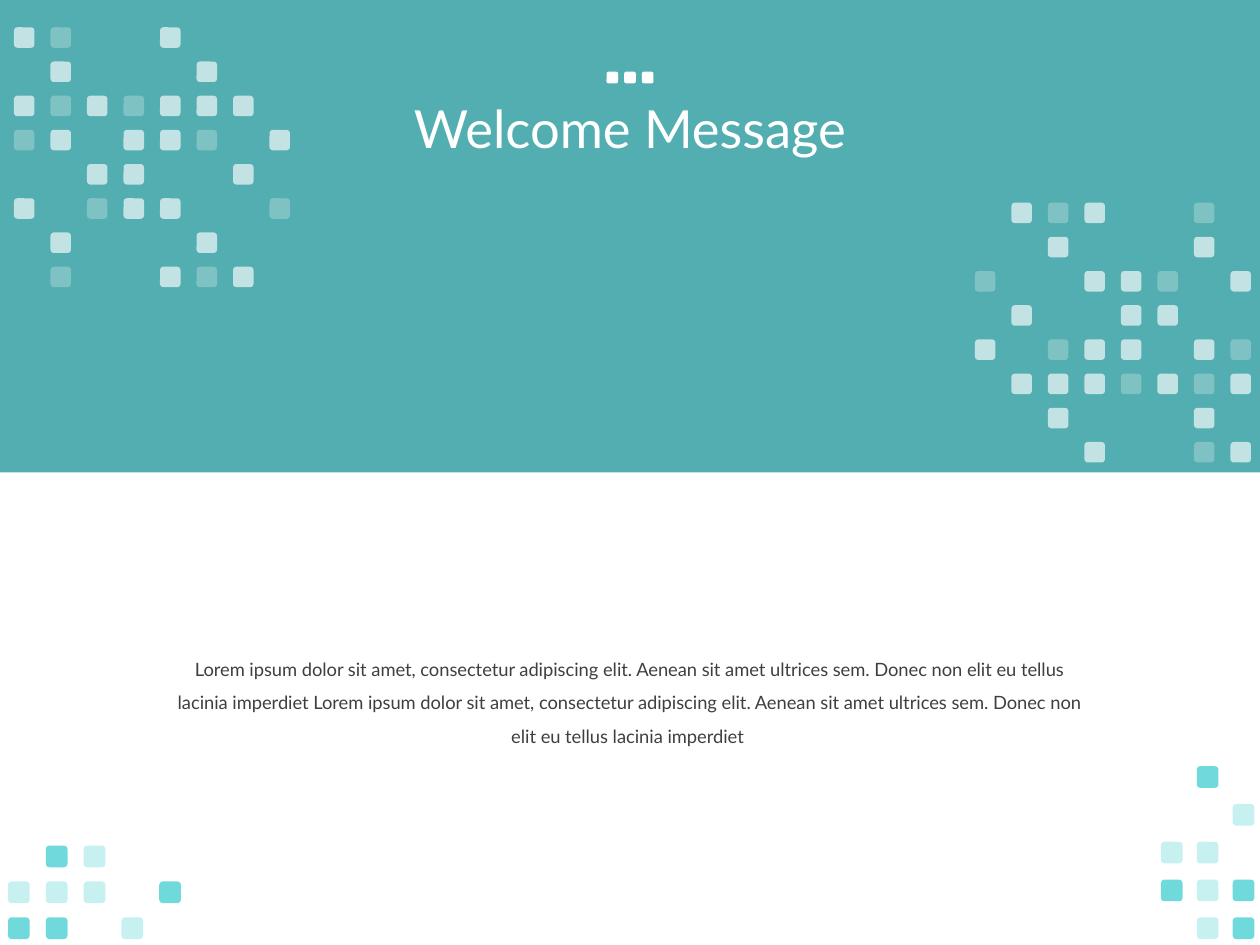
from lxml import etree
from pptx import Presentation
from pptx.dml.color import RGBColor
from pptx.enum.shapes import MSO_SHAPE
from pptx.enum.text import MSO_ANCHOR, MSO_AUTO_SIZE, PP_ALIGN
from pptx.oxml.ns import qn
from pptx.util import Pt

COLORS = {"band": "1A9497", "white": "FFFFFF", "aqua": "23C5CA", "text": "3F3F3F"}
OPACITY = {"#": 65, "o": 25, "@": 100}


def add_block(shapes, kind, left, top, width, height, color, opacity):
    block = shapes.add_shape(kind, Pt(left), Pt(top), Pt(width), Pt(height))
    block.shadow.inherit = False
    block.line.fill.background()
    block.fill.solid()
    block.fill.fore_color.rgb = RGBColor.from_string(COLORS[color])
    if opacity < 100:
        tint = block._element.spPr.find(f".//{qn('a:srgbClr')}")
        etree.SubElement(tint, qn("a:alpha"), val=str(opacity * 1000))
    return block


def add_text(frame, text, size, color, spacing):
    frame.word_wrap = True
    paragraph = frame.paragraphs[0]
    paragraph.alignment = PP_ALIGN.CENTER
    paragraph.line_spacing = spacing
    run = paragraph.add_run()
    run.text = text
    run.font.size = Pt(size)
    run.font.name = "Lato"
    run.font.color.rgb = RGBColor.from_string(COLORS[color])


prs = Presentation()
prs.slide_width, prs.slide_height = Pt(720), Pt(540)
slide = prs.slides.add_slide(prs.slide_layouts[5])

band = add_block(slide.shapes, MSO_SHAPE.RECTANGLE, 0, 0, 720, 270, "band", 75)
slide.shapes._spTree.insert(2, band._element)

heading = slide.shapes.title
heading.left, heading.top, heading.width, heading.height = Pt(49.5), Pt(23), Pt(621), Pt(104.4)
heading.text_frame.vertical_anchor = MSO_ANCHOR.MIDDLE
add_text(heading.text_frame, "Welcome Message", 30, "white", 0.9)

message = slide.shapes.add_textbox(Pt(93.6), Pt(366.5), Pt(532.8), Pt(62))
message.text_frame.auto_size = MSO_AUTO_SIZE.SHAPE_TO_FIT_TEXT
add_text(
    message.text_frame,
    "Lorem ipsum dolor sit amet, consectetur adipiscing elit. Aenean sit amet ultrices sem. "
    "Donec non elit eu tellus lacinia imperdiet Lorem ipsum dolor sit amet, consectetur "
    "adipiscing elit. Aenean sit amet ultrices sem. Donec non elit eu tellus lacinia imperdiet ",
    10.5, "text", 1.5,
)

# left, top, column pitch, row pitch, tile size, color, rows
mosaics = [
    (346.6, 41, 10.1, 0, 6.6, "white", ["@@@"]),
    (8, 15.6, 20.86, 19.54, 11.7, "white", [
        "#o..#...",
        ".#...#..",
        "#o#o###.",
        "o#.##o.#",
        "..##..#.",
        "#.o##..o",
        ".#...#..",
        ".o..#o#.",
    ]),
    (557.1, 115.8, 20.86, 19.54, 11.7, "white", [
        ".#o#..o.",
        "..#...#.",
        "o..##o.#",
        ".#..##..",
        "#.o##.#o",
        ".###o#o#",
        "..#...#.",
        "...#..o#",
    ]),
    (4.6, 483.2, 21.6, 20.5, 12.4, "aqua", [
        ".#o..",
        "ooo.#",
        "##.o.",
    ]),
    (663.4, 437.8, 20.5, 21.6, 12.4, "aqua", [
        ".#.",
        "..o",
        "oo.",
        "#o#",
        ".o#",
    ]),
]
for left, top, column_pitch, row_pitch, size, color, rows in mosaics:
    mosaic = slide.shapes.add_group_shape()
    for row, marks in enumerate(rows):
        for column, mark in enumerate(marks):
            if mark in OPACITY:
                add_block(mosaic.shapes, MSO_SHAPE.ROUNDED_RECTANGLE,
                          left + column * column_pitch, top + row * row_pitch,
                          size, size, color, OPACITY[mark])

prs.save("out.pptx")
